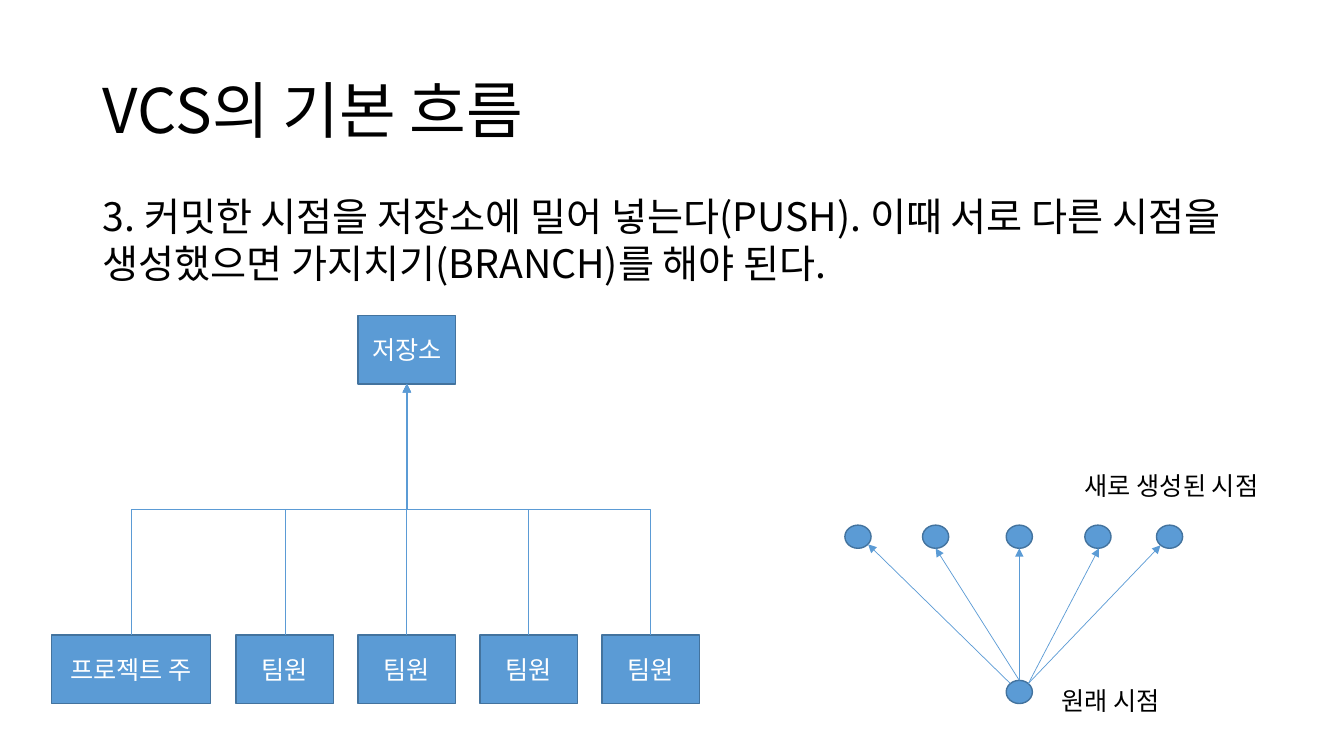
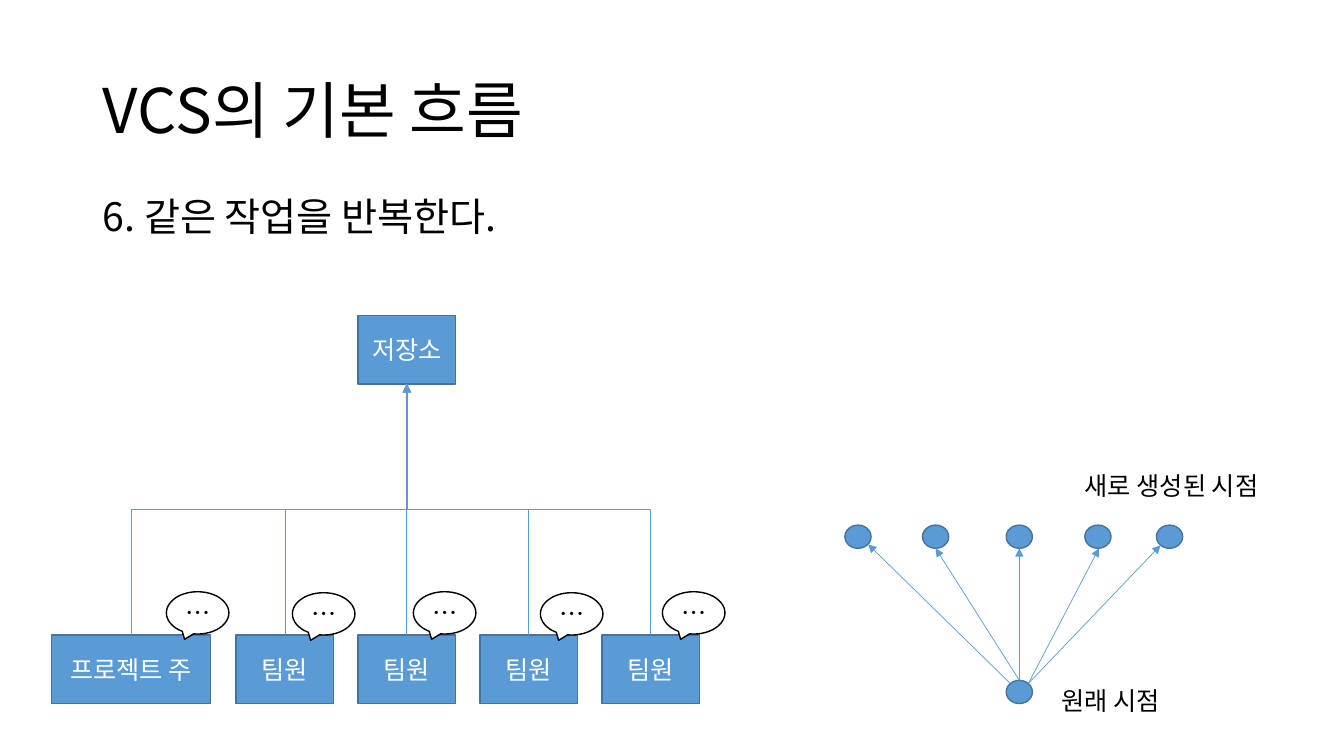
import pptx
import pptx.dml.color
import pptx.enum.shapes
import pptx.enum.text
import pptx.oxml.ns
import pptx.util
from lxml import etree

PX = 9144  # one px is a hundredth of an inch
FONT = "Noto Sans CJK KR"
COLORS = {"text": "000000", "white": "FFFFFF", "blue": "5B9BD5", "outline": "43739E"}
SHAPE = pptx.enum.shapes.MSO_SHAPE
CONNECTOR = pptx.enum.shapes.MSO_CONNECTOR
ALIGN = pptx.enum.text.PP_ALIGN
MIDDLE = pptx.enum.text.MSO_ANCHOR.MIDDLE
qn = pptx.oxml.ns.qn

TITLE = "VCS의 기본 흐름"
SLIDES = [
    ("3. 커밋한 시점을 저장소에 밀어 넣는다(PUSH). 이때 서로 다른 시점을 "
     "생성했으면 가지치기(BRANCH)를 해야 된다.", False),
    ("6. 같은 작업을 반복한다.", True),
]

REPO = (355, 313, 97, 68)
MEMBERS = [("프로젝트 주", 51, 158)] + [("팀원", 234 + 121 * i, 97) for i in range(4)]
MEMBER_TOP = 630
DOTS = [(998, 675)] + [(x, 521) for x in (838, 915, 998, 1076, 1147)]
BRANCHES = [
    (1002, 678, 861, 540),
    (1011, 675, 928, 544),
    (1011, 675, 1011, 544),
    (1020, 678, 1090, 544),
    (1020, 678, 1151, 541),
]
LABELS = [("원래 시점", 1043, 675, 130), ("새로 생성된 시점", 1066, 462, 215)]
BUBBLES = [(165, 587), (290, 588), (410, 587), (536, 588), (657, 587)]


def rgb(name):
    return pptx.dml.color.RGBColor.from_string(COLORS[name])


def write(sp, text, size, color="text", align=ALIGN.LEFT):
    """Set a shape's single paragraph in the deck's font and return it."""
    sp.text_frame.text = text
    p = sp.text_frame.paragraphs[0]
    p.alignment = align
    r = p.runs[0]
    r.font.size = pptx.util.Pt(size)
    r.font.name = FONT
    r.font.color.rgb = rgb(color)
    etree.SubElement(r.font._element, qn("a:ea"), typeface=FONT)
    return p


prs = pptx.Presentation()
prs.slide_width = 1333 * PX
prs.slide_height = 750 * PX

for body, talking in SLIDES:
    s = prs.slides.add_slide(prs.slide_layouts[5])
    title = s.shapes.title
    title.left, title.top, title.width, title.height = [v * PX for v in (92, 40, 1150, 145)]
    write(title, TITLE, 44).line_spacing = 0.9
    title.text_frame.vertical_anchor = MIDDLE

    # Text boxes: left, top, width, height, text, size, wrap
    boxes = [(92, 186, 1150, 104, body, 28, True)]
    boxes += [(x, y, w, 40, text, 18, False) for text, x, y, w in LABELS]
    for x, y, w, h, text, size, wrap in boxes:
        sp = s.shapes.add_textbox(x * PX, y * PX, w * PX, h * PX)
        sp.text_frame.word_wrap = wrap
        write(sp, text, size)

    # Filled shapes: preset, box, text, (fill, line, text colour)
    blue = ("blue", "outline", "white")
    items = [(SHAPE.RECTANGLE, REPO, "저장소", blue)]
    items += [(SHAPE.RECTANGLE, (x, MEMBER_TOP, w, 68), text, blue) for text, x, w in MEMBERS]
    items += [(SHAPE.OVAL, (x, y, 26, 23), "", blue) for x, y in DOTS]
    if talking:
        items += [(SHAPE.OVAL_CALLOUT, (x, y, 62, 42), "…", ("white", "text", "text"))
                  for x, y in BUBBLES]
    shapes = []
    for preset, box, text, (fill, line, color) in items:
        sp = s.shapes.add_shape(preset, *[v * PX for v in box])
        sp.shadow.inherit = False
        sp.fill.solid()
        sp.fill.fore_color.rgb = rgb(fill)
        sp.line.color.rgb = rgb(line)
        sp.line.width = pptx.util.Pt(1)
        if text:
            write(sp, text, 18, color, ALIGN.CENTER)
            sp.text_frame.vertical_anchor = MIDDLE
        shapes.append(sp)

    # Elbows run up from each member to the repository: a turned box around the middle
    repo, members = shapes[0], shapes[1:1 + len(MEMBERS)]
    end_x, end_y = repo.left + repo.width // 2, repo.top + repo.height
    arrows = []
    for sp in members:
        dx = end_x - (sp.left + sp.width // 2)
        rise = sp.top - end_y
        if dx == 0:
            c = s.shapes.add_connector(CONNECTOR.STRAIGHT, end_x, sp.top, end_x, end_y)
            c.begin_connect(sp, 0)
            c.end_connect(repo, 2)
        else:
            left = end_x - dx // 2 - rise // 2
            top = end_y + rise // 2 - abs(dx) // 2
            c = s.shapes.add_connector(CONNECTOR.ELBOW, left, top, left + rise, top + abs(dx))
            xfrm = c._element.spPr.find(qn("a:xfrm"))
            xfrm.set("rot", str((90 if dx > 0 else 270) * 60000))
            xfrm.set("flipV", "1")
            if dx > 0:
                xfrm.set("flipH", "1")
        arrows.append(c)
    for branch in BRANCHES:
        arrows.append(s.shapes.add_connector(CONNECTOR.STRAIGHT, *[v * PX for v in branch]))

    for c in arrows:
        c.line.color.rgb = rgb("blue")
        c.line.width = pptx.util.Pt(0.5)
        etree.SubElement(c.line._get_or_add_ln(), qn("a:tailEnd"), type="triangle")
        etree.SubElement(c._element.spPr, qn("a:effectLst"))

    # Speech bubbles lie above the connectors
    for sp in shapes[1 + len(MEMBERS) + len(DOTS):]:
        s.shapes._spTree.append(sp._element)

prs.save("out.pptx")
